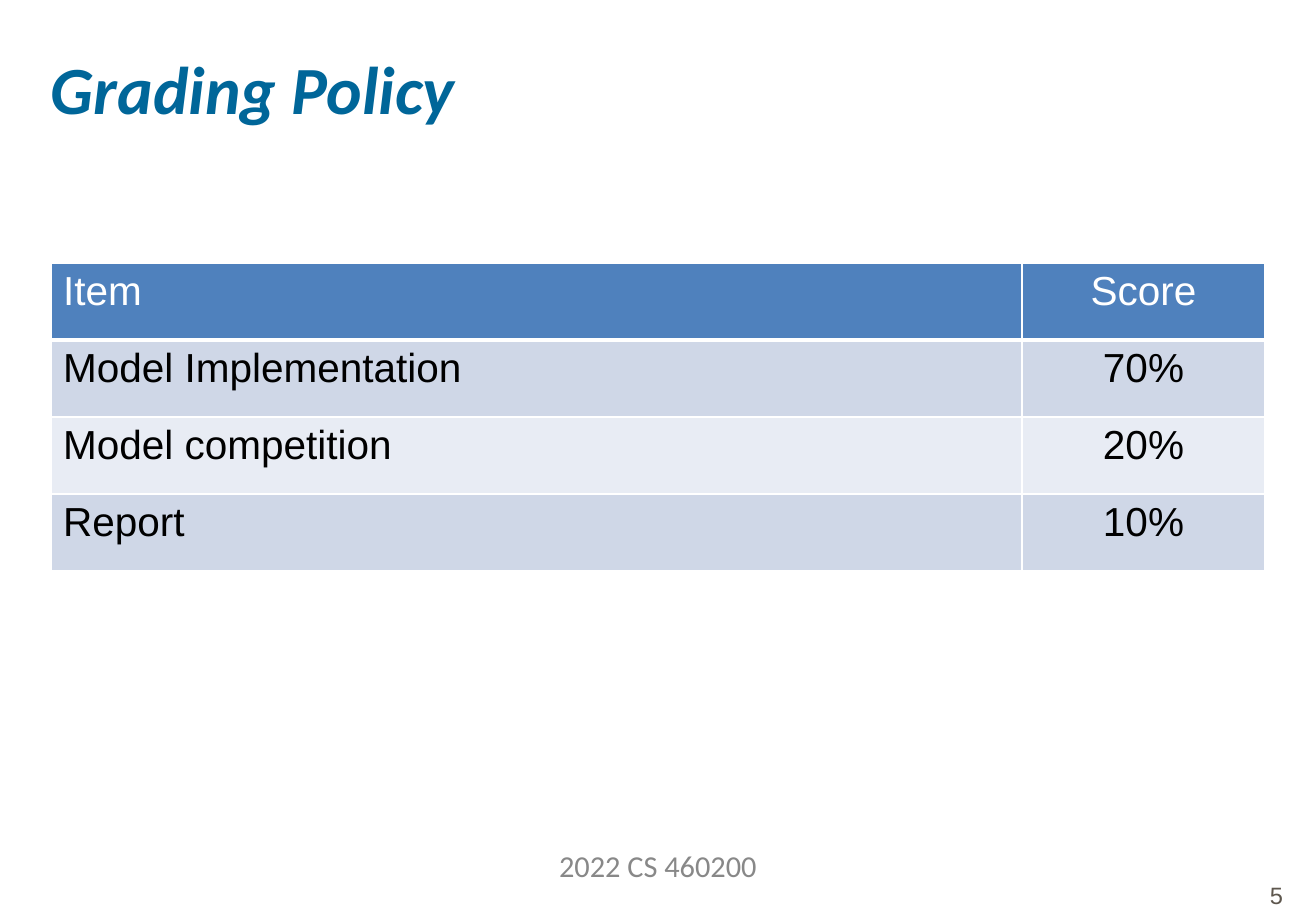
from lxml.etree import SubElement
from pptx import Presentation
from pptx.dml.color import RGBColor
from pptx.enum.text import MSO_ANCHOR, PP_ALIGN
from pptx.oxml.ns import qn
from pptx.util import Emu, Pt

EMU_PER_PX = 914400 / 121.5

TEAL = RGBColor(0x00, 0x66, 0x99)
HEADER_BLUE = RGBColor(0x4F, 0x81, 0xBD)
BAND_DARK = RGBColor(0xCF, 0xD7, 0xE7)
BAND_LIGHT = RGBColor(0xE8, 0xEC, 0xF4)
WHITE = RGBColor(0xFF, 0xFF, 0xFF)
BLACK = RGBColor(0x00, 0x00, 0x00)
FOOTER_GREY = RGBColor(0x88, 0x88, 0x88)
NUMBER_GREY = RGBColor(0x5E, 0x57, 0x4E)

LEFT, CONTENT_W = 51, 1214
ROW_H = 77
COL_WIDTHS = (971, 243)
GRADES = [
    ("Item", "Score"),
    ("Model Implementation", "70%"),
    ("Model competition", "20%"),
    ("Report", "10%"),
]


def px(n):
    return Emu(round(n * EMU_PER_PX))


def set_text(tf, text, font, size, color, align=PP_ALIGN.LEFT, bold=False, italic=False):
    tf.text = text
    p = tf.paragraphs[0]
    p.alignment = align
    p.font.name, p.font.size = font, Pt(size)
    p.font.bold, p.font.italic = bold, italic
    p.font.color.rgb = color
    return p


def clear_insets(tf):
    tf.margin_left = tf.margin_top = tf.margin_right = tf.margin_bottom = 0
    tf.vertical_anchor = MSO_ANCHOR.TOP
    tf.word_wrap = True


def add_title(slide, text):
    sp = slide.shapes.title
    sp.left, sp.top, sp.width, sp.height = map(px, (LEFT, 47, CONTENT_W, 84))
    clear_insets(sp.text_frame)
    set_text(sp.text_frame, text, "Calibri", 40, TEAL, bold=True, italic=True)


def add_label(slide, box, text, font, size, color, align=PP_ALIGN.LEFT):
    tf = slide.shapes.add_textbox(*map(px, box)).text_frame
    clear_insets(tf)
    set_text(tf, text, font, size, color, align)
    return tf


def set_borders(cell, bottom):
    tc_pr = cell._tc.get_or_add_tcPr()
    for side, width in (("L", 1), ("R", 1), ("T", 1), ("B", bottom)):
        ln = SubElement(tc_pr, qn(f"a:ln{side}"), w=str(Pt(width)))
        fill = SubElement(ln, qn("a:solidFill"))
        SubElement(fill, qn("a:srgbClr"), val=str(WHITE))


def add_grade_table(slide, rows):
    box = (LEFT, 263, CONTENT_W, ROW_H * len(rows))
    table = slide.shapes.add_table(len(rows), len(COL_WIDTHS), *map(px, box)).table
    for column, width in zip(table.columns, COL_WIDTHS):
        column.width = px(width)
    for i, row in enumerate(rows):
        table.rows[i].height = px(ROW_H)
        header = i == 0
        band = HEADER_BLUE if header else BAND_DARK if i % 2 else BAND_LIGHT
        for j, text in enumerate(row):
            cell = table.cell(i, j)
            # The rule under the header is heavier; both sides of it agree
            set_borders(cell, 3 if header else 1)
            cell.fill.solid()
            cell.fill.fore_color.rgb = band
            set_text(cell.text_frame, text, "Arial", 24, WHITE if header else BLACK,
                     PP_ALIGN.CENTER if j else PP_ALIGN.LEFT)
    # Let the header rule show over the first body row's top border
    for j in range(len(COL_WIDTHS)):
        table.cell(1, j)._tc.tcPr.find(qn("a:lnT")).set("w", str(Pt(3)))


def main():
    prs = Presentation()
    prs.slide_width, prs.slide_height = px(1316), px(911)
    slide = prs.slides.add_slide(prs.slide_layouts[5])

    # Title and table
    add_title(slide, "Grading Policy")
    add_grade_table(slide, GRADES)

    # Footer and slide number
    add_label(slide, (447, 847, 422, 46), "2022 CS 460200", "Calibri", 18,
              FOOTER_GREY, PP_ALIGN.CENTER)
    number = add_label(slide, (1266, 876, 44, 30), "5", "Arial", 14, NUMBER_GREY)
    number.margin_left = px(4)
    number.paragraphs[0].line_spacing = 1.18

    prs.save("out.pptx")


if __name__ == "__main__":
    main()
